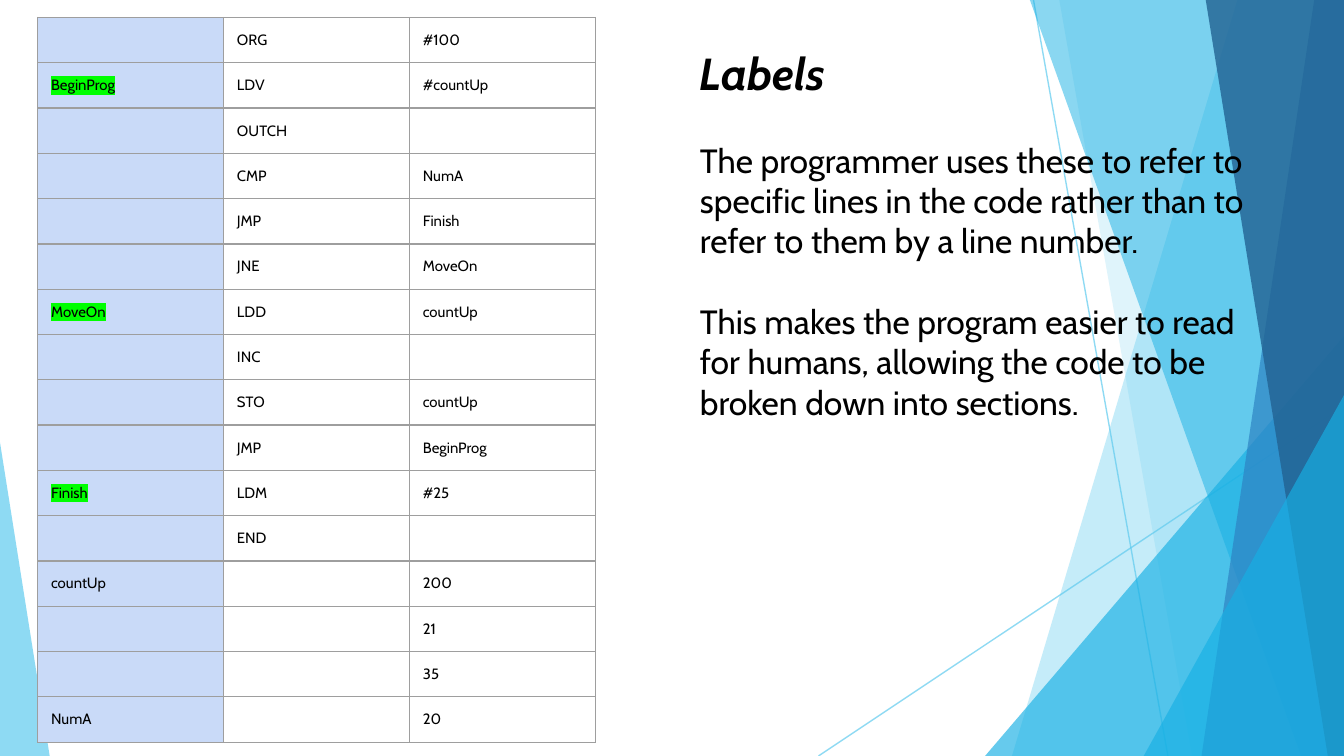
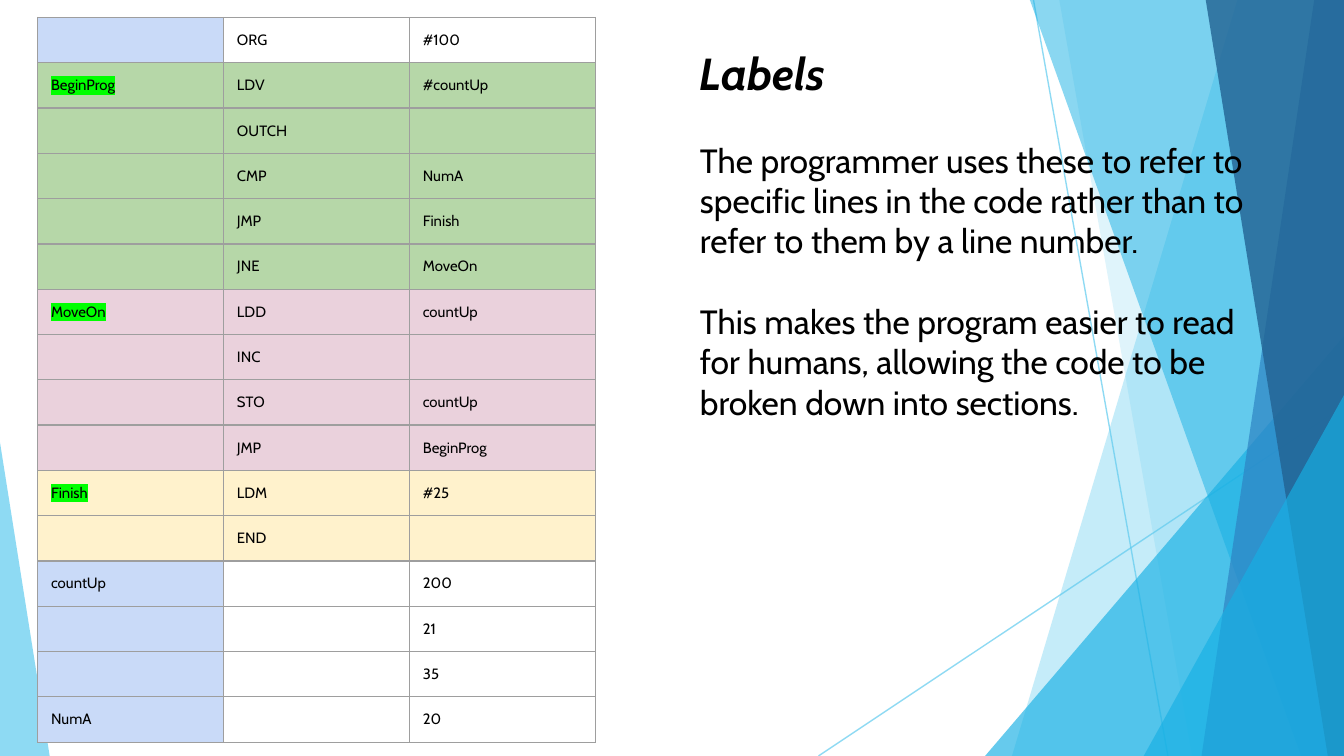
import lxml.etree
import pptx
import pptx.dml.color
import pptx.enum.shapes
import pptx.oxml.ns
import pptx.util

Inches = pptx.util.Inches
Pt = pptx.util.Pt
qn = pptx.oxml.ns.qn

FONT = "Cabin"
WIDTH = 10
HEIGHT = WIDTH * 9 / 16
COLORS = {
    "sky": "5FCBEF",
    "cyan": "17B0E4",
    "blue": "2E83C3",
    "navy": "226292",
    "label": "C9DAF8",
    "plain": "FFFFFF",
    "green": "B6D7A8",
    "pink": "EAD1DC",
    "cream": "FFF2CC",
    "grid": "9E9E9E",
    "marker": "00FF00",
    "text": "000000",
}

PROGRAM = [
    ("", "ORG", "#100"),
    ("BeginProg", "LDV", "#countUp"),
    ("", "OUTCH", ""),
    ("", "CMP", "NumA"),
    ("", "JMP", "Finish"),
    ("", "JNE", "MoveOn"),
    ("MoveOn", "LDD", "countUp"),
    ("", "INC", ""),
    ("", "STO", "countUp"),
    ("", "JMP", "BeginProg"),
    ("Finish", "LDM", "#25"),
    ("", "END", ""),
    ("countUp", "", "200"),
    ("", "", "21"),
    ("", "", "35"),
    ("NumA", "", "20"),
]
MARKED_LABELS = {"BeginProg", "MoveOn", "Finish"}
SECTIONS = [("green", 1, 5), ("pink", 6, 9), ("cream", 10, 11)]
SLIDE_SECTIONS = [[], SECTIONS]

HEADING = "Labels"
EXPLANATIONS = [
    "The programmer uses these to refer to specific lines in the code rather than to refer to them by a line number.",
    "This makes the program easier to read for humans, allowing the code to be broken down into sections.",
]

RAYS = [((7.69, 0), (8.69, HEIGHT)), ((WIDTH, 3.02), (6.09, HEIGHT))]
FACETS = [
    ("band", (9.21, 7.53), "sky", 36),
    ("band", (7.88, 8.87), "sky", 20),
    ("triangle", (7.33, 2.5, 2.67, 1), "cyan", 66),
    ("band", (7.66, 9.68), "cyan", 50),
    ("band", (9.78, 8.94), "blue", 70),
    ("band", (8.97, 9.88), "navy", 80),
    ("triangle", (8.51, 2.94, 1.49, 1), "cyan", 66),
    ("triangle", (0, 3.29, 0.37, 0), "sky", 70),
]


def rgb(color):
    return pptx.dml.color.RGBColor.from_string(COLORS[color])


def set_opacity(shape, percent):
    for tint in shape._element.spPr.iter(qn("a:srgbClr")):
        lxml.etree.SubElement(tint, qn("a:alpha"), val=str(percent * 1000))


def add_ray(shapes, start, end):
    ray = shapes.add_connector(
        pptx.enum.shapes.MSO_CONNECTOR.STRAIGHT, *map(Inches, start + end)
    )
    ray.line.color.rgb = rgb("sky")
    ray.line.width = Pt(0.75)
    set_opacity(ray, 70)
    lxml.etree.SubElement(ray._element.spPr, qn("a:effectLst"))


def add_band(shapes, top_x, bottom_x):
    outline = shapes.build_freeform(Inches(top_x), Inches(-0.01))
    corners = [(WIDTH, -0.01), (WIDTH, HEIGHT), (bottom_x, HEIGHT)]
    outline.add_line_segments([(Inches(x), Inches(y)) for x, y in corners])
    return outline.convert_to_shape()


def add_triangle(shapes, left, top, width, apex):
    triangle = shapes.add_shape(
        pptx.enum.shapes.MSO_SHAPE.ISOSCELES_TRIANGLE,
        Inches(left), Inches(top), Inches(width), Inches(HEIGHT - top),
    )
    triangle.adjustments[0] = apex
    return triangle


def add_backdrop(slide):
    shapes = slide.shapes.add_group_shape().shapes
    for start, end in RAYS:
        add_ray(shapes, start, end)
    for kind, geometry, color, opacity in FACETS:
        draw = add_band if kind == "band" else add_triangle
        facet = draw(shapes, *geometry)
        facet.shadow.inherit = False
        facet.fill.solid()
        facet.fill.fore_color.rgb = rgb(color)
        facet.line.fill.background()
        set_opacity(facet, opacity)


def add_run(paragraph, text, size, strong=False, marked=False):
    run = paragraph.add_run()
    run.text = text
    run.font.size = Pt(size)
    run.font.bold = run.font.italic = strong
    run.font.color.rgb = rgb("text")
    if marked:
        highlight = lxml.etree.SubElement(run._r.rPr, qn("a:highlight"))
        lxml.etree.SubElement(highlight, qn("a:srgbClr"), val=COLORS["marker"])
    run.font.name = FONT


def set_margins(frame):
    frame.margin_left = frame.margin_right = Inches(0.1)
    frame.margin_top = frame.margin_bottom = Inches(0.1)


def add_borders(cell):
    properties = cell._tc.get_or_add_tcPr()
    for side in ("lnL", "lnR", "lnT", "lnB"):
        border = lxml.etree.SubElement(properties, qn("a:" + side), w=str(Pt(0.75)))
        fill = lxml.etree.SubElement(border, qn("a:solidFill"))
        lxml.etree.SubElement(fill, qn("a:srgbClr"), val=COLORS["grid"])


def fill_cell(cell, text, color, marked):
    set_margins(cell)
    add_borders(cell)
    cell.fill.solid()
    cell.fill.fore_color.rgb = rgb(color)
    paragraph = cell.text_frame.paragraphs[0]
    if text:
        add_run(paragraph, text, 8, marked=marked)
    else:
        lxml.etree.SubElement(paragraph._p, qn("a:endParaRPr"), sz="800")


def add_program(slide, sections):
    frame = slide.shapes.add_table(
        len(PROGRAM), 3, Inches(0.28), Inches(0.13), Inches(4.15), Inches(5.33)
    )
    program = frame.table
    program.first_row = program.horz_banding = False
    for row in program.rows:
        row.height = Inches(0.28)
    frame.height = Inches(5.33)
    section_colors = {
        line: color for color, first, last in sections for line in range(first, last + 1)
    }
    for line, parts in enumerate(PROGRAM):
        for column, text in enumerate(parts):
            color = section_colors.get(line, "plain" if column else "label")
            marked = column == 0 and text in MARKED_LABELS
            fill_cell(program.cell(line, column), text, color, marked)


def add_explanation(slide):
    explanation = slide.shapes.add_textbox(
        Inches(5.11), Inches(0.24), Inches(4.48), Inches(3.4)
    ).text_frame
    explanation.word_wrap = True
    set_margins(explanation)
    add_run(explanation.paragraphs[0], HEADING, 24, strong=True)
    for text in EXPLANATIONS:
        paragraph = explanation.add_paragraph()
        paragraph.space_before = Pt(21.6)
        add_run(paragraph, text, 18)


def main():
    deck = pptx.Presentation()
    deck.slide_width, deck.slide_height = Inches(WIDTH), Inches(HEIGHT)
    for sections in SLIDE_SECTIONS:
        slide = deck.slides.add_slide(deck.slide_layouts[6])
        add_backdrop(slide)
        add_program(slide, sections)
        add_explanation(slide)
    deck.save("out.pptx")


if __name__ == "__main__":
    main()
